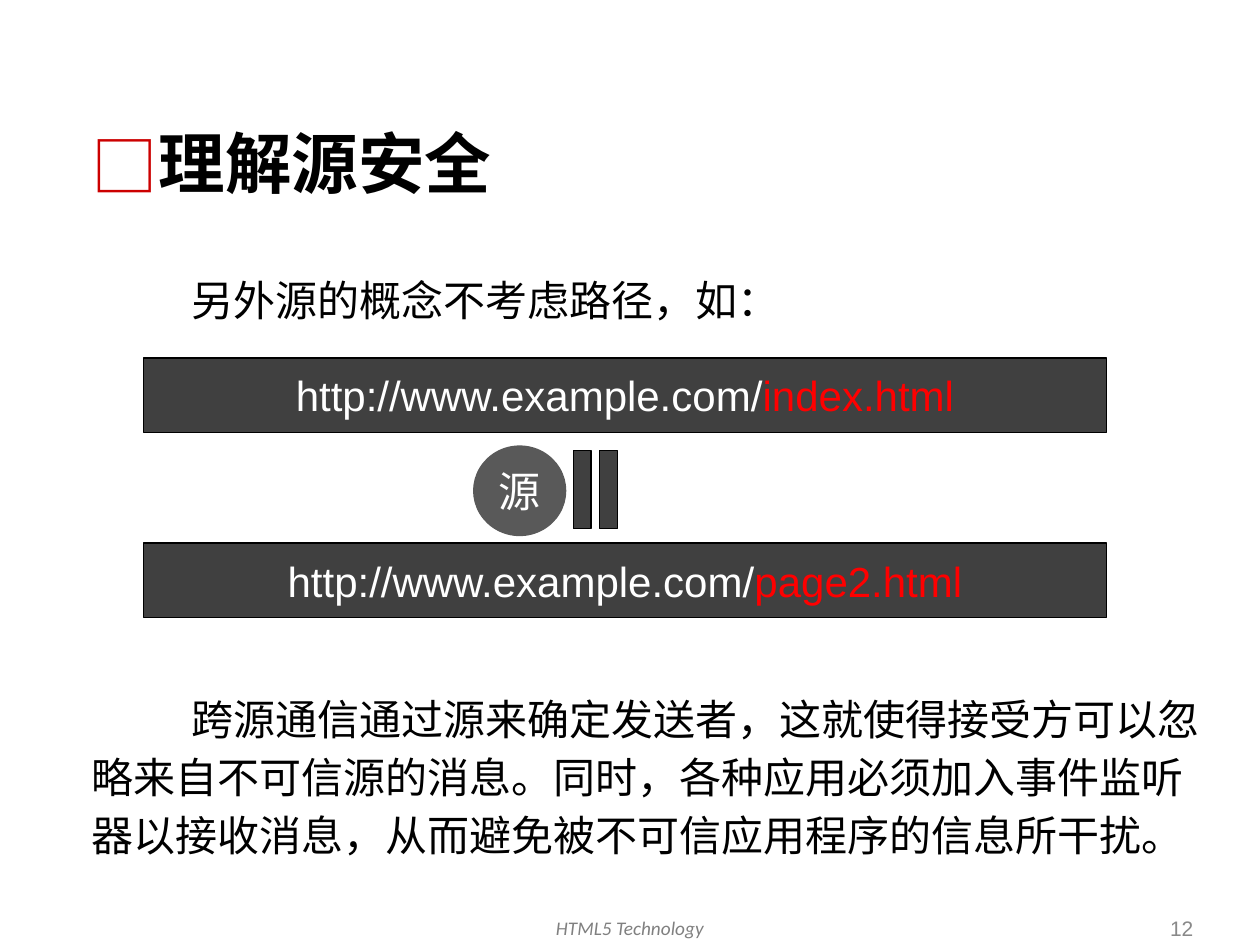
import pptx
import pptx.util
import pptx.dml.color
import pptx.enum.shapes
import pptx.enum.text
import pptx.oxml.ns
import lxml.etree

Inches = pptx.util.Inches
Pt = pptx.util.Pt
Align = pptx.enum.text.PP_ALIGN
Anchor = pptx.enum.text.MSO_ANCHOR
Preset = pptx.enum.shapes.MSO_SHAPE

COLOURS = {
    "black": "000000", "white": "FFFFFF", "red": "FF0000", "bullet": "CC0000",
    "bar": "404040", "circle": "595959", "footer": "808080", "number": "898989",
}
CHINESE = "Noto Sans CJK SC"


def colour(name):
    return pptx.dml.color.RGBColor.from_string(COLOURS[name])


def add_child(parent, tag, **values):
    return lxml.etree.SubElement(parent, pptx.oxml.ns.qn(tag), **values)


class SlideBuilder:
    def __init__(self, deck):
        self.slide = deck.slides.add_slide(deck.slide_layouts[5])
        self.frame_format = {"word_wrap": True, "vertical_anchor": Anchor.TOP,
                             "auto_size": pptx.enum.text.MSO_AUTO_SIZE.NONE}

    def place(self, box, bounds):
        for name, value in zip(("left", "top", "width", "height"), bounds):
            setattr(box, name, Inches(value))

    def fill_text(self, box, spans, size, font="Arial", align=Align.LEFT,
                  frame_format=None, para_format=None, **font_format):
        frame = box.text_frame
        for name, value in {**self.frame_format, **(frame_format or {})}.items():
            setattr(frame, name, value)
        para = frame.paragraphs[0]
        for name, value in {"alignment": align, **(para_format or {})}.items():
            setattr(para, name, value)
        for text, shade in spans:
            span = para.add_run()
            span.text = text
            for name, value in {"name": font, "size": Pt(size), **font_format}.items():
                setattr(span.font, name, value)
            span.font.color.rgb = colour(shade)
            add_child(span.font._element, "a:ea", typeface=CHINESE)
        return para

    def title(self, text, bounds):
        box = self.slide.shapes.title
        self.place(box, bounds)
        para = self.fill_text(box, [(text, "black")], 38, bold=True)
        properties = para._p.get_or_add_pPr()
        properties.set("marL", str(Inches(0.51)))
        properties.set("indent", str(-Inches(0.51)))
        shade = add_child(properties, "a:buClr")
        add_child(shade, "a:srgbClr", val=COLOURS["bullet"])
        add_child(properties, "a:buFont", typeface=CHINESE)
        add_child(properties, "a:buChar", char="□")

    def text(self, text, bounds, size, shade, **style):
        box = self.slide.shapes.add_textbox(*map(Inches, bounds))
        return self.fill_text(box, [(text, shade)], size, **style)

    def paragraph(self, text, bounds):
        para = self.text(text, bounds, 24, "black", font=CHINESE,
                         para_format={"line_spacing": Pt(33)})
        para._p.get_or_add_pPr().set("indent", str(Inches(0.79)))

    def shape(self, preset, bounds, fill, line, rotation=0):
        shape = self.slide.shapes.add_shape(preset, *map(Inches, bounds))
        shape.shadow.inherit = False
        shape.rotation = rotation
        shape.fill.solid()
        shape.fill.fore_color.rgb = colour(fill)
        shape.line.color.rgb = colour(line)
        shape.line.width = Pt(0.75)
        return shape

    def address(self, page, top):
        bar = self.shape(Preset.RECTANGLE, (1.14, top, 7.64, 0.59), "bar", "black")
        self.fill_text(bar, [("http://www.example.com/", "white"), (page, "red")], 24,
                       align=Align.CENTER, frame_format={"vertical_anchor": Anchor.MIDDLE})

    def circle(self, text, bounds):
        circle = self.shape(Preset.OVAL, bounds, "circle", "circle")
        margins = {f"margin_{side}": 0 for side in ("left", "top", "right", "bottom")}
        self.fill_text(circle, [(text, "white")], 24, font=CHINESE, align=Align.CENTER,
                       frame_format={"vertical_anchor": Anchor.MIDDLE,
                                     "word_wrap": False, **margins})


def main():
    deck = pptx.Presentation()
    deck.slide_width, deck.slide_height = Inches(10), Inches(7.5)
    page = SlideBuilder(deck)
    page.title("理解源安全", (0.63, 0.92, 8.75, 1.33))
    page.paragraph("另外源的概念不考虑路径，如：", (0.63, 2.07, 8.75, 0.99))
    page.text("HTML5 Technology", (3.22, 7.22, 3.56, 0.33), 11, "footer",
              font="Calibri", align=Align.CENTER, italic=True)
    page.text("12", (7.32, 7.22, 2.25, 0.29), 12, "number", align=Align.RIGHT,
              frame_format={"vertical_anchor": Anchor.MIDDLE})
    page.paragraph("跨源通信通过源来确定发送者，这就使得接受方可以忽略来自不可信源的消息。"
                   "同时，各种应用必须加入事件监听器以接收消息，"
                   "从而避免被不可信应用程序的信息所干扰。", (0.63, 5.4, 9.06, 1.61))
    for name, top in (("index.html", 2.84), ("page2.html", 4.31)):
        page.address(name, top)
    page.shape(Preset.MATH_EQUAL, (4.3, 3.59, 0.85, 0.59), "bar", "black", rotation=270)
    page.circle("源", (3.76, 3.54, 0.73, 0.71))
    deck.save("out.pptx")


if __name__ == "__main__":
    main()
